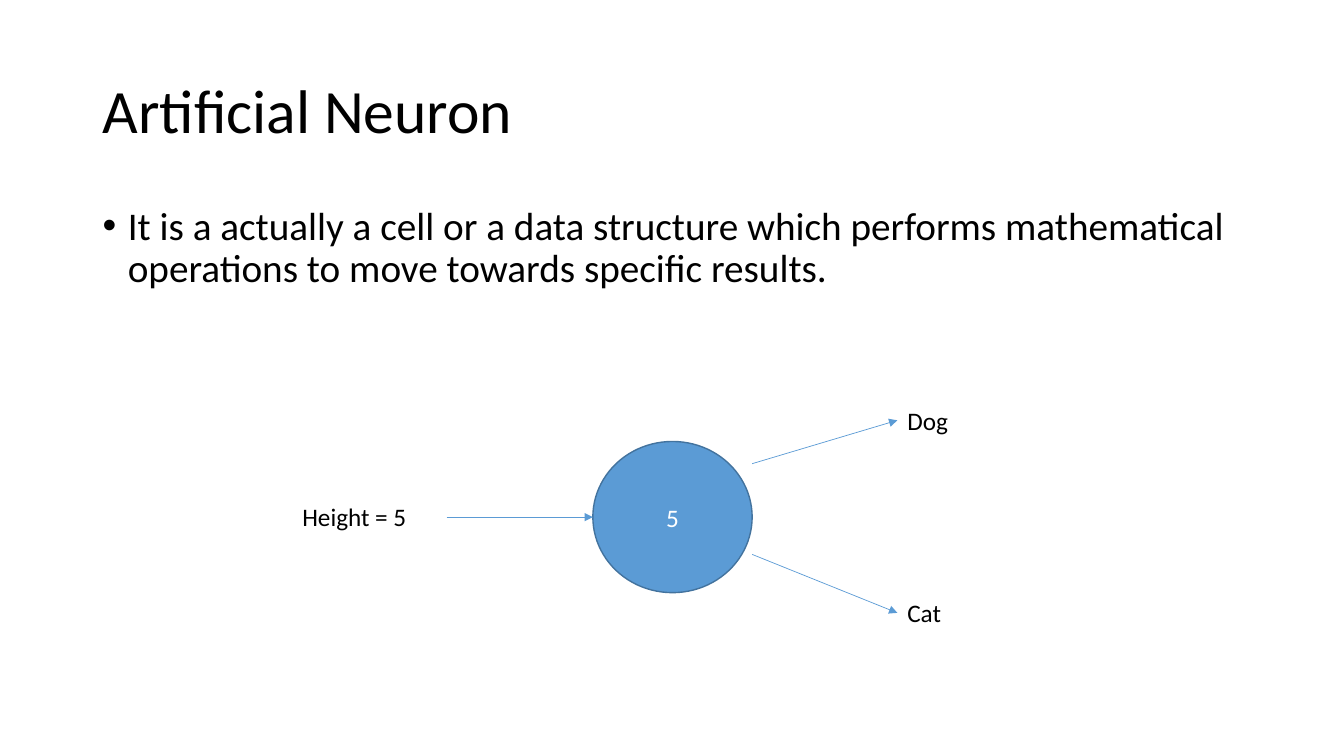
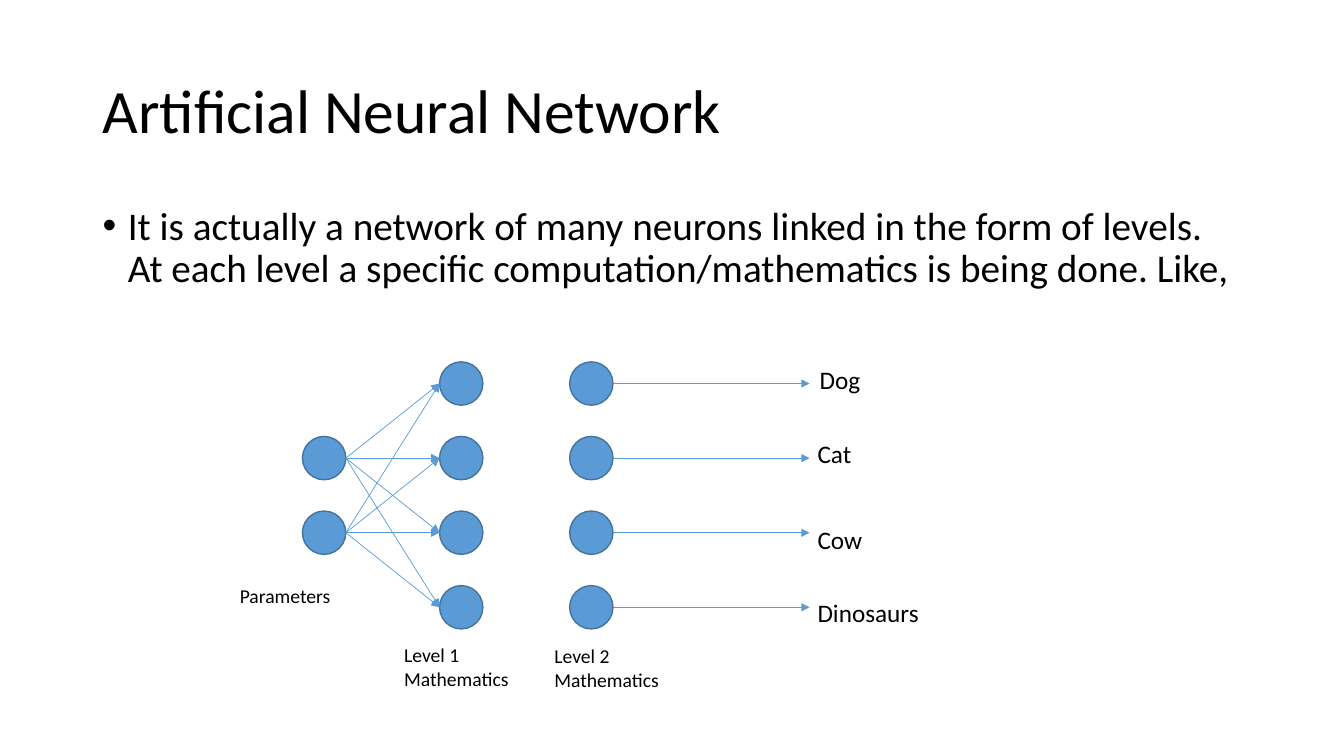
from dataclasses import dataclass
from itertools import product

from lxml import etree
from pptx import Presentation
from pptx.dml.color import RGBColor
from pptx.enum.shapes import MSO_CONNECTOR, MSO_SHAPE
from pptx.enum.text import MSO_ANCHOR, PP_ALIGN
from pptx.oxml.ns import qn
from pptx.util import Inches, Pt

OVAL = MSO_SHAPE.OVAL
STRAIGHT = MSO_CONNECTOR.STRAIGHT
TOP, MIDDLE = MSO_ANCHOR.TOP, MSO_ANCHOR.MIDDLE
LEFT, CENTER = PP_ALIGN.LEFT, PP_ALIGN.CENTER


@dataclass(frozen=True)
class Theme:
    font: str = "Calibri"
    ink: str = "000000"
    pale: str = "FFFFFF"
    blue: str = "5B9BD5"
    edge: str = "43739E"
    title: int = 44
    body: int = 28
    label: int = 18
    note: int = 14
    rim: float = 1
    wire: float = 0.5


THEME = Theme()


def rgb(code):
    return RGBColor.from_string(code)


def apply(target, values):
    for name, value in values.items():
        setattr(target, name, value)


def write(frame, lines, size, color=THEME.ink, anchor=TOP, para=None):
    """Fill a text frame, one paragraph for each line."""
    apply(frame, {"word_wrap": True, "vertical_anchor": anchor})
    for i, line in enumerate(lines):
        p = frame.add_paragraph() if i else frame.paragraphs[0]
        apply(p, {"alignment": LEFT, **(para or {})})
        run = p.add_run()
        run.text = line
        apply(run.font, {"name": THEME.font, "size": Pt(size)})
        run.font.color.rgb = rgb(color)


def add_text(slide, box, lines, size, **style):
    frame = slide.shapes.add_textbox(*map(Inches, box)).text_frame
    write(frame, lines, size, **style)
    return frame


def add_bullet(p, indent):
    props = p._p.get_or_add_pPr()
    props.set("marL", str(Inches(indent)))
    props.set("indent", str(-Inches(indent)))
    etree.SubElement(props, qn("a:buFont")).set("typeface", "Arial")
    etree.SubElement(props, qn("a:buChar")).set("char", "•")


def add_cell(slide, box, text=None):
    """Draw one neuron."""
    cell = slide.shapes.add_shape(OVAL, *map(Inches, box))
    cell.shadow.inherit = False
    cell.fill.solid()
    cell.fill.fore_color.rgb = rgb(THEME.blue)
    cell.line.color.rgb = rgb(THEME.edge)
    cell.line.width = Pt(THEME.rim)
    if text:
        write(cell.text_frame, [text], THEME.label, color=THEME.pale,
              anchor=MIDDLE, para={"alignment": CENTER})


def add_arrow(slide, start, end):
    ends = map(Inches, (*start, *end))
    arrow = slide.shapes.add_connector(STRAIGHT, *ends)
    arrow.line.color.rgb = rgb(THEME.blue)
    arrow.line.width = Pt(THEME.wire)
    props = arrow.element.spPr
    etree.SubElement(props.find(qn("a:ln")), qn("a:tailEnd")).set("type", "triangle")
    etree.SubElement(props, qn("a:effectLst"))


def add_label(slide, left, top, text):
    add_text(slide, (left, top, 1.42, 0.4), [text], THEME.label)


def add_page(deck, title, body):
    """Start a slide with its title and bullet."""
    slide = deck.slides.add_slide(deck.slide_layouts[6])
    add_text(slide, (0.92, 0.4, 11.5, 1.45), [title], THEME.title,
             anchor=MIDDLE, para={"line_spacing": 0.9})
    frame = add_text(slide, (0.92, 2, 11.5, 4.76), [body], THEME.body,
                     para={"line_spacing": 0.9, "space_before": Pt(10)})
    add_bullet(frame.paragraphs[0], 0.25)
    return slide


def draw_neuron(deck):
    slide = add_page(
        deck, "Artificial Neuron",
        "It is a actually a cell or a data structure which performs "
        "mathematical operations to move towards specific results.")
    left, right, mid = 5.88, 7.46, 5.13
    add_cell(slide, (left, 4.38, right - left, 1.5), "5")

    # Input
    add_label(slide, 2.9, 4.92, "Height = 5")
    add_arrow(slide, (4.43, mid), (left, mid))

    # Results
    for name, start, end in (("Dog", 4.6, 4.17), ("Cat", 5.5, 6.08)):
        add_arrow(slide, (right, start), (8.9, end))
        add_label(slide, 8.9, end - 0.2, name)


def draw_network(deck):
    slide = add_page(
        deck, "Artificial Neural Network",
        "It is actually a network of many neurons linked in the form of "
        "levels. At each level a specific computation/mathematics is being "
        "done. Like,")
    size, step = 0.43, 0.74
    rows = [3.59 + step * i for i in range(4)]
    inputs = rows[1:3]
    first, second, third = 3, 4.36, 5.65

    # Neurons, column by column
    for left, tops in ((first, inputs), (second, rows), (third, rows)):
        for top in tops:
            add_cell(slide, (left, top, size, size))

    # Links from each input to each neuron of level 1
    half = size / 2
    for a, b in product(inputs, rows):
        add_arrow(slide, (first + size, a + half), (second, b + half))

    # Results
    names = (("Dog", 8.03, 3.57), ("Cat", 8.01, 4.3),
             ("Cow", 8.01, 5.15), ("Dinosaurs", 8.01, 5.88))
    for row, (name, left, top) in zip(rows, names):
        add_arrow(slide, (third + size, row + half), (8.03, row + half))
        add_label(slide, left, top, name)

    # Column notes
    notes = ((2.28, 5.74, ["Parameters"]),
             (3.91, 6.33, ["Level 1", "Mathematics"]),
             (5.4, 6.34, ["Level 2", "Mathematics"]))
    for left, top, lines in notes:
        high = 0.11 + 0.23 * len(lines)
        add_text(slide, (left, top, 1.36, high), lines, THEME.note)


def main():
    deck = Presentation()
    apply(deck, {"slide_width": Inches(13.33), "slide_height": Inches(7.5)})
    draw_neuron(deck)
    draw_network(deck)
    deck.save("out.pptx")


if __name__ == "__main__":
    main()
